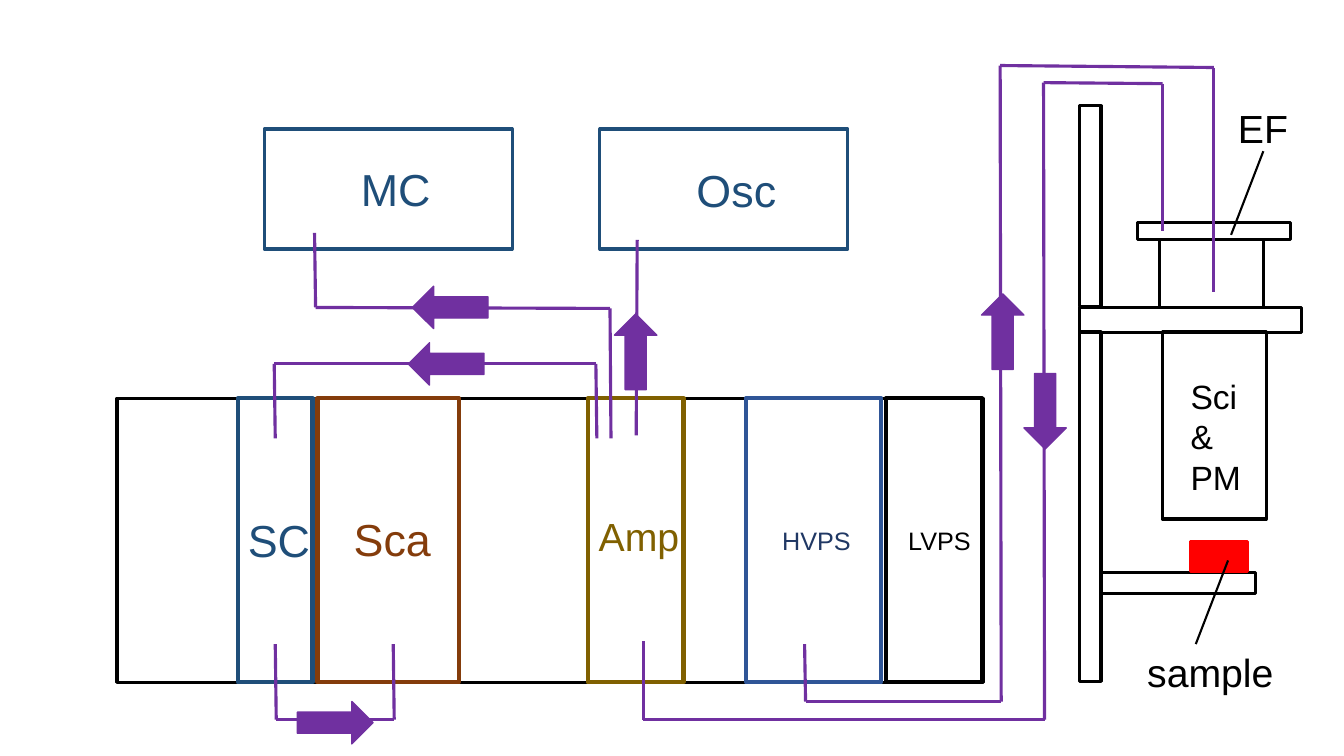
from itertools import pairwise

from lxml import etree
from pptx import Presentation
from pptx.dml.color import RGBColor
from pptx.enum import shapes, text
from pptx.oxml.ns import qn
from pptx.util import Inches, Pt

THEME = {
    "font": "Arial", "black": "000000", "red": "FF0000", "wire": "7030A0",
    "navy": "1F4E79", "ink": "203864", "blue": "2F5597", "gold": "806000",
    "brown": "843C0B",
    "small": 18, "mid": 24, "large": 28, "huge": 32,
    "thin": 1, "lead": 1.5, "line": 2.25, "thick": 3,
}

# Rack modules: left, width, colour, line
RACK_TOP, RACK_TALL = 3.95, 2.82
RACK = [
    (1.16, 8.59, "black", "line"),
    (8.79, 0.95, "black", "thick"),
    (7.4, 1.34, "blue", "thick"),
    (5.83, 0.95, "gold", "thick"),
    (3.15, 1.4, "brown", "thick"),
    (2.36, 0.74, "navy", "thick"),
]

# Displays and detector stand: left, top, width, height, line colour, fill
FRAMES = [
    (2.62, 1.28, 2.46, 1.19, "navy", None),
    (5.95, 1.28, 2.46, 1.19, "navy", None),
    (10.71, 1.05, 0.21, 1.99, "black", None),
    (10.71, 3.05, 2.2, 0.25, "black", None),
    (10.92, 5.68, 1.53, 0.21, "black", None),
    (11.81, 5.37, 0.56, 0.3, "red", "red"),
    (11.53, 3.29, 1.03, 1.86, "black", None),
    (11.5, 2.38, 1.03, 0.67, "black", None),
    (11.28, 2.21, 1.52, 0.17, "black", None),
    (10.71, 3.29, 0.21, 3.47, "black", None),
]

# Labels: text, left, top, width, height, size, colour
LABELS = [
    ("LVPS", 8.91, 5.16, 1.03, 0.4, "small", "black"),
    ("HVPS", 7.66, 5.16, 1.03, 0.4, "small", "ink"),
    ("Amp", 5.84, 5.03, 1.03, 0.57, "large", "gold"),
    ("Sca", 3.41, 5.03, 1.03, 0.64, "huge", "brown"),
    ("SC", 2.36, 5.04, 1.03, 0.64, "huge", "navy"),
    ("MC", 3.48, 1.56, 1.03, 0.64, "huge", "navy"),
    ("Osc", 6.81, 1.57, 1.03, 0.64, "huge", "navy"),
    ("sample", 11.28, 6.38, 1.63, 0.57, "large", "black"),
    ("Sci\n&\nPM", 11.71, 3.68, 0.84, 1.31, "mid", "black"),
    ("EF", 12.18, 0.99, 1.1, 0.57, "large", "black"),
]

# Corner points of each wire
WIRES = [
    [(5.92, 4.35), (5.91, 3.61), (2.72, 3.61), (2.73, 4.35)],
    [(2.73, 6.39), (2.74, 7.14), (3.91, 7.14), (3.9, 6.39)],
    [(6.06, 4.35), (6.05, 3.06), (3.13, 3.05), (3.12, 2.31)],
    [(6.31, 4.32), (6.32, 2.38)],
    [(7.98, 6.39), (7.99, 6.96), (9.93, 6.96), (9.92, 0.65),
     (12.04, 0.67), (12.04, 2.9)],
    [(6.38, 6.36), (6.38, 7.14), (10.36, 7.14), (10.35, 0.82),
     (11.53, 0.83), (11.53, 2.29)],
]
LEADS = [
    [(12.18, 5.56), (11.86, 6.39)],
    [(12.53, 1.5), (12.21, 2.33)],
]

# Flow arrows: left, top, turn
ARROW = (0.75, 0.42)
FLOWS = [
    (2.95, 6.96, 0), (9.57, 3.08, 270), (5.93, 3.28, 270),
    (4.09, 2.84, 180), (4.05, 3.4, 180), (9.99, 3.87, 90),
]


def color(name):
    return RGBColor.from_string(THEME[name])


def style(line, hue, width):
    line.color.rgb = color(hue)
    line.width = Pt(THEME[width])


def add_form(slide, kind, area, hue, width, fill=None):
    form = slide.shapes.add_shape(kind, *map(Inches, area))
    form.shadow.inherit = False
    if fill:
        form.fill.solid()
        form.fill.fore_color.rgb = color(fill)
    else:
        form.fill.background()
    style(form.line, hue, width)
    return form


def add_label(slide, words, area, size, hue):
    frame = slide.shapes.add_textbox(*map(Inches, area)).text_frame
    frame.word_wrap = True
    frame.auto_size = text.MSO_AUTO_SIZE.SHAPE_TO_FIT_TEXT
    frame.text = words
    looks = {"name": THEME["font"], "size": Pt(THEME[size])}
    for para in frame.paragraphs:
        for key, value in looks.items():
            setattr(para.font, key, value)
        para.font.color.rgb = color(hue)


def add_wire(slide, points, hue, width):
    """Join each pair of neighbouring points with a straight line."""
    for start, end in pairwise(points):
        wire = slide.shapes.add_connector(
            shapes.MSO_CONNECTOR.STRAIGHT, *map(Inches, start + end))
        style(wire.line, hue, width)
        etree.SubElement(wire._element.spPr, qn("a:effectLst"))


def main():
    deck = Presentation()
    deck.slide_width, deck.slide_height = Inches(13.33), Inches(7.5)
    slide = deck.slides.add_slide(deck.slide_layouts[6])
    kinds = shapes.MSO_SHAPE

    for left, wide, hue, width in RACK:
        area = (left, RACK_TOP, wide, RACK_TALL)
        add_form(slide, kinds.RECTANGLE, area, hue, width)
    for *area, hue, fill in FRAMES:
        add_form(slide, kinds.RECTANGLE, area, hue, "line", fill)
    for words, *area, size, hue in LABELS:
        add_label(slide, words, area, size, hue)
    for points in WIRES:
        add_wire(slide, points, "wire", "line")
    for points in LEADS:
        add_wire(slide, points, "black", "lead")
    for left, top, turn in FLOWS:
        flow = add_form(slide, kinds.RIGHT_ARROW, (left, top, *ARROW),
                        "wire", "thin", "wire")
        flow.rotation = turn

    deck.save("out.pptx")


if __name__ == "__main__":
    main()
